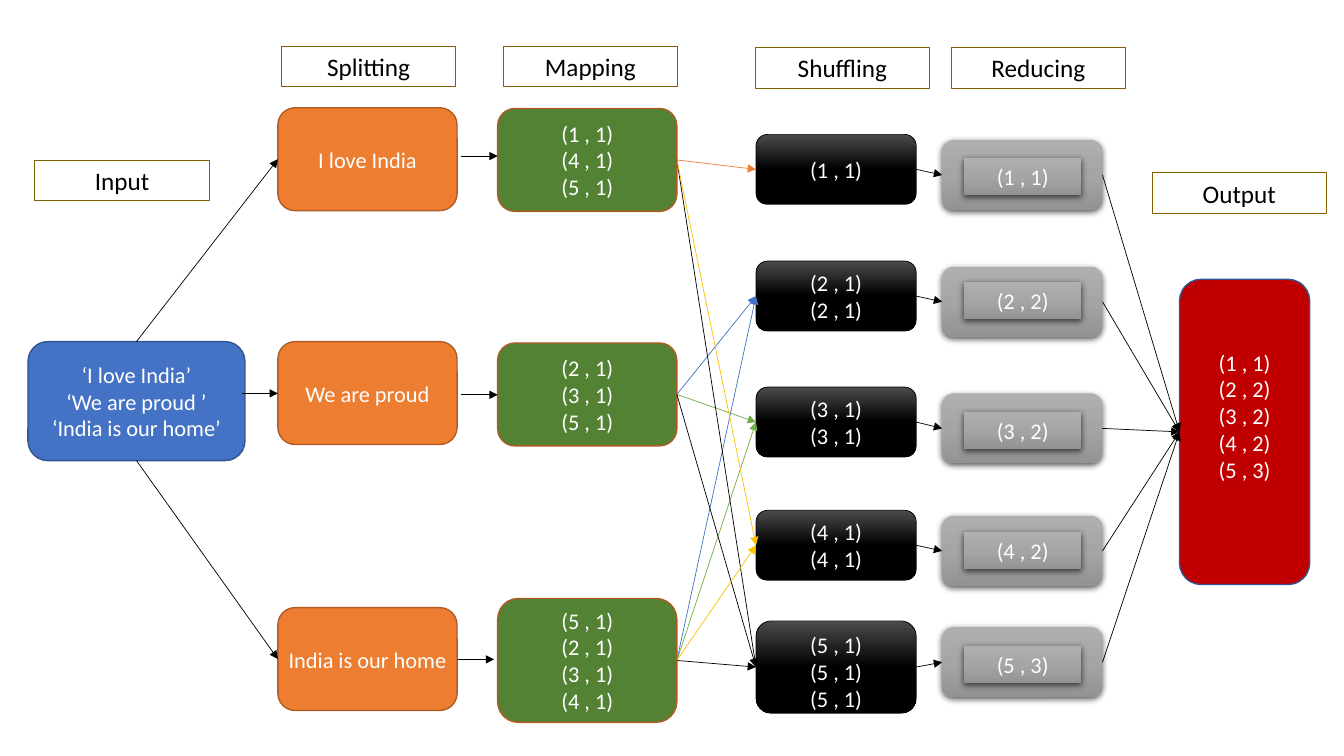
"""Build a slide showing the steps of a MapReduce word count."""
from copy import deepcopy

from lxml.etree import SubElement
from pptx import Presentation
from pptx.dml.color import RGBColor
from pptx.enum.shapes import MSO_CONNECTOR, MSO_SHAPE
from pptx.enum.text import MSO_ANCHOR, PP_ALIGN
from pptx.oxml.ns import qn
from pptx.util import Pt

COLORS = {
    "black": "000000", "white": "FFFFFF", "blue": "4472C4", "navy": "325491",
    "orange": "ED7D31", "rust": "AF5C24", "moss": "548235", "green": "70AD47",
    "gold": "FFC000", "olive": "806000", "red": "C00000", "coal": "4B4B4B",
    "light": "AFAFAF", "gray": "A5A5A5", "dark": "939393",
}
COAL = ("coal", "black", "black")
STEEL = ("light", "gray", "dark")
TOP, LEFT, BOTTOM, RIGHT = range(4)

HEADS = [
    ("Input", 25, 114.5), ("Splitting", 201, 33), ("Mapping", 359.5, 33),
    ("Shuffling", 539.5, 34), ("Reducing", 679.5, 34), ("Output", 823, 123.5),
]
INPUT = "‘I love India’\n‘We are proud ’\n‘India is our home’"
OUTPUT = "(1 , 1)\n(2 , 2)\n(3 , 2)\n(4 , 2)\n(5 , 3)"
SPLITS = [("I love India", 77), ("We are proud", 244), ("India is our home", 434)]
MAPS = [
    ("(1 , 1)\n(4 , 1)\n(5 , 1)", 77.5, 73.5),
    ("(2 , 1)\n(3 , 1)\n(5 , 1)", 245, 73.5),
    ("(5 , 1)\n(2 , 1)\n(3 , 1)\n(4 , 1)", 427.5, 88.5),
]
GROUPS = [
    ("(1 , 1)", 96, 50), ("(2 , 1)\n(2 , 1)", 186.5, 50),
    ("(3 , 1)\n(3 , 1)", 276.5, 50), ("(4 , 1)\n(4 , 1)", 364.5, 50),
    ("(5 , 1)\n(5 , 1)\n(5 , 1)", 443.5, 66),
]
SUMS = [
    ("(1 , 1)", 100, 113), ("(2 , 2)", 190.5, 201.5), ("(3 , 2)", 281, 294),
    ("(4 , 2)", 368.5, 380), ("(5 , 3)", 448, 461.5),
]
LEVEL = [
    (173, 198.5, 281), (329.5, 355.5, 111.5),
    (329, 355.5, 282), (327, 353, 471),
]
ROUTES = [
    (0, 0, "orange"), (1, 1, "blue"), (2, 1, "blue"), (1, 2, "green"),
    (2, 2, "green"), (0, 4, "black"), (2, 4, "black"), (1, 4, "black"),
    (2, 3, "gold"), (0, 3, "gold"),
]

deck = Presentation()
deck.slide_width, deck.slide_height = Pt(960), Pt(540)
slide = deck.slides.add_slide(deck.slide_layouts[6])


def color(name):
    return RGBColor.from_string(COLORS[name])


def paint(shape, fill):
    if fill is None:
        shape.fill.background()
    elif isinstance(fill, str):
        shape.fill.solid()
        shape.fill.fore_color.rgb = color(fill)
    else:
        shape.fill.gradient()
        shape.fill.gradient_angle = 270
        stops = shape._element.spPr.find(".//" + qn("a:gsLst"))
        stops.append(deepcopy(stops[-1]))
        for stop, name, place in zip(shape.fill.gradient_stops, fill, (0, 0.5, 1)):
            stop.color.rgb = color(name)
            stop.position = place


def write(shape, text, size, ink):
    frame = shape.text_frame
    frame.text = text
    frame.word_wrap = False
    frame.vertical_anchor = MSO_ANCHOR.MIDDLE
    frame.margin_left = frame.margin_right = 0
    frame.margin_top = frame.margin_bottom = 0
    for para in frame.paragraphs:
        para.alignment = PP_ALIGN.CENTER
        for run in para.runs:
            run.font.name, run.font.size = "Calibri", Pt(size)
            run.font.color.rgb = color(ink)


def box(text, left, top, width, height, fill, line=None, weight=1.0,
        kind=MSO_SHAPE.ROUNDED_RECTANGLE, size=16, ink="white"):
    shape = slide.shapes.add_shape(kind, Pt(left), Pt(top), Pt(width), Pt(height))
    shape.shadow.inherit = False
    paint(shape, fill)
    if line:
        shape.line.color.rgb = color(line)
        shape.line.width = Pt(weight)
    else:
        shape.line.fill.background()
    if text:
        write(shape, text, size, ink)
    return shape


def shade(shape):
    effects = shape._element.spPr.find(qn("a:effectLst"))
    cast = SubElement(effects, qn("a:outerShdw"), blurRad=str(Pt(4.5)),
                      dist=str(Pt(1.5)), dir="5400000", algn="ctr", rotWithShape="0")
    tint = SubElement(cast, qn("a:srgbClr"), val=COLORS["black"])
    SubElement(tint, qn("a:alpha"), val="63000")


def arrow(x1=0, y1=0, x2=0, y2=0, ink="black"):
    link = slide.shapes.add_connector(
        MSO_CONNECTOR.STRAIGHT, Pt(x1), Pt(y1), Pt(x2), Pt(y2))
    link.line.color.rgb = color(ink)
    link.line.width = Pt(0.5)
    SubElement(link.line._get_or_add_ln(), qn("a:tailEnd"), type="triangle")
    SubElement(link._element.spPr, qn("a:effectLst"))
    return link


def join(start, end, ink="black", site=RIGHT):
    link = arrow(ink=ink)
    link.begin_connect(start, site)
    link.end_connect(end, LEFT)


source = box(INPUT, 20, 244, 155, 85, "blue", "navy")
splits = [box(text, 198.5, top, 128, 73.5, "orange", "rust") for text, top in SPLITS]
maps = [box(text, 355.5, top, 128, high, "moss", "rust") for text, top, high in MAPS]
groups = [box(text, 540, top, 114.5, high, COAL, "black", 0.5)
          for text, top, high in GROUPS]
groups[-1].text_frame.margin_top = Pt(6)
result = box(OUTPUT, 842.5, 199.5, 93, 218, "red", "navy")
result.text_frame.margin_bottom = Pt(23)

sums = []
for text, top, inner in SUMS:
    sums.append(box("", 673, top, 114.5, 50, STEEL))
    label = box(text, 688.5, inner, 84, 26.5, STEEL, kind=MSO_SHAPE.RECTANGLE)
    shade(sums[-1])
    shade(label)

join(source, splits[0], site=TOP)
join(source, splits[2], site=BOTTOM)
for x1, x2, y in LEVEL:
    arrow(x1, y, x2, y)
for start, end, ink in ROUTES:
    join(maps[start], groups[end], ink)
for group, total in zip(groups, sums):
    join(group, total)
    join(total, result)

for text, left, top in HEADS:
    box(text, left, top, 124.5, 29, None, "olive", 0.75,
        MSO_SHAPE.RECTANGLE, 18, "black")

deck.save("out.pptx")
